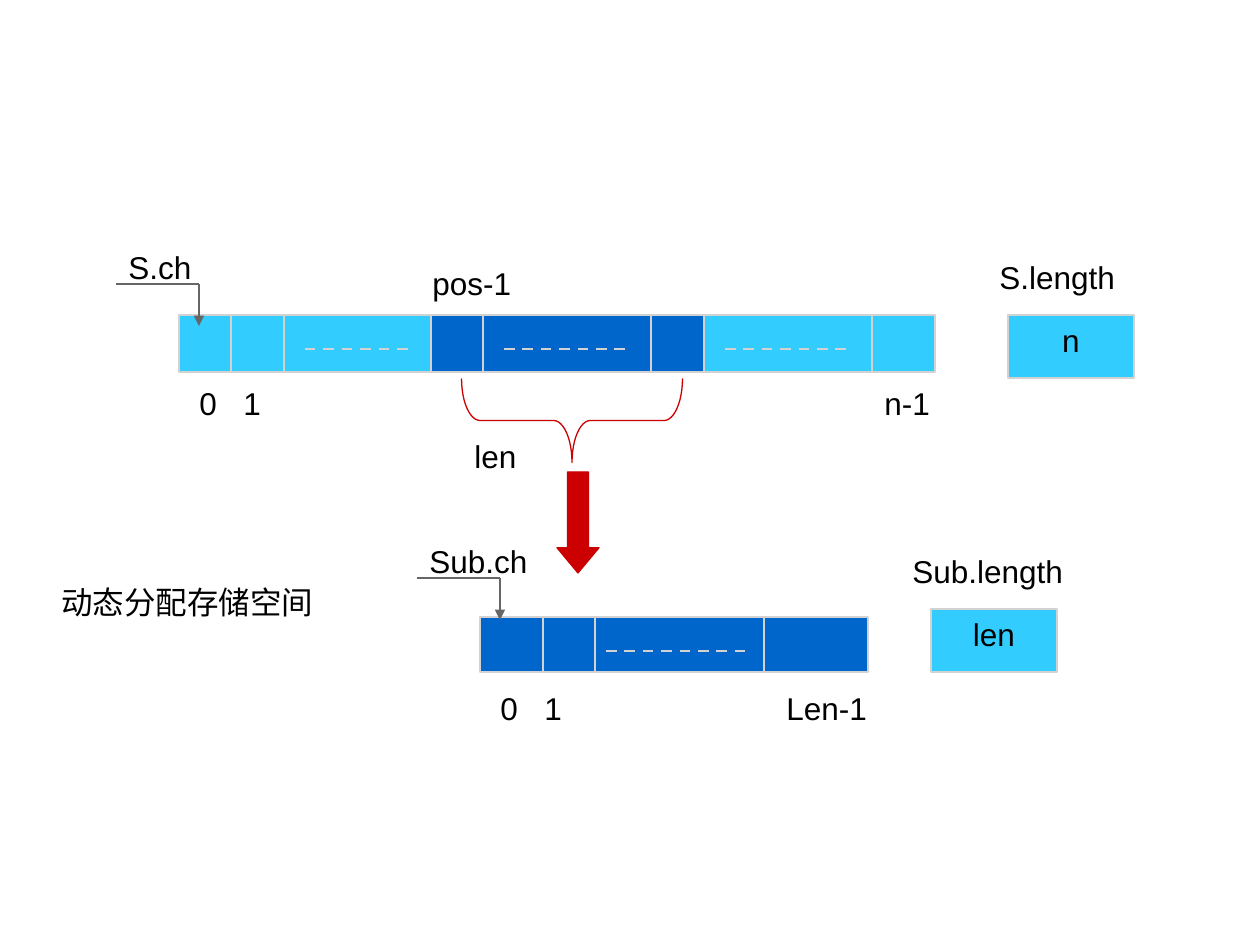
from lxml import etree
from pptx import Presentation
from pptx.dml.color import RGBColor
from pptx.enum.dml import MSO_LINE
from pptx.enum.shapes import MSO_CONNECTOR, MSO_SHAPE
from pptx.enum.text import MSO_ANCHOR, PP_ALIGN
from pptx.oxml.ns import qn
from pptx.util import Emu, Pt

STRAIGHT = MSO_CONNECTOR.STRAIGHT
RECTANGLE = MSO_SHAPE.RECTANGLE
RIGHT_BRACE = MSO_SHAPE.RIGHT_BRACE
DOWN_ARROW = MSO_SHAPE.DOWN_ARROW
DASH = MSO_LINE.DASH
TOP = MSO_ANCHOR.TOP
CENTER = PP_ALIGN.CENTER

LIGHT_BLUE = RGBColor(0x33, 0xCC, 0xFF)
DARK_BLUE = RGBColor(0x00, 0x66, 0xCC)
RED = RGBColor(0xCC, 0x00, 0x00)
PALE_GRAY = RGBColor(0xD2, 0xD2, 0xD2)
DARK_GRAY = RGBColor(0x66, 0x66, 0x66)
BLACK = RGBColor(0x00, 0x00, 0x00)

PX_PER_INCH = 126
FONT = "Arial"
LABEL_HEIGHT = 50
INDEX_STEP = 44


def px(length):
    return Emu(round(length * 914400 / PX_PER_INCH))


def write(frame, text):
    frame.text = text
    font = frame.paragraphs[0].font
    font.name, font.size = FONT, Pt(18)
    font.color.rgb = BLACK


def add_label(slide, text, left, top, width):
    box = slide.shapes.add_textbox(px(left), px(top), px(width), px(LABEL_HEIGHT))
    box.text_frame.word_wrap = True
    write(box.text_frame, text)


def add_outline(slide, kind, left, top, width, height, fill, line):
    shape = slide.shapes.add_shape(kind, px(left), px(top), px(width), px(height))
    shape.shadow.inherit = False
    if fill is None:
        shape.fill.background()
    else:
        shape.fill.solid()
        shape.fill.fore_color.rgb = fill
    shape.line.color.rgb = line
    shape.line.width = Pt(0.75)
    return shape


def add_line(slide, x1, y1, x2, y2, color=PALE_GRAY, width=0.75):
    line = slide.shapes.add_connector(STRAIGHT, px(x1), px(y1), px(x2), px(y2))
    line.line.color.rgb = color
    line.line.width = Pt(width)
    etree.SubElement(line._element.spPr, qn("a:effectLst"))
    return line


def add_segment(slide, left, top, width, height, fill, dividers, dash_span):
    """A run of array cells, with dashes standing for the omitted ones."""
    add_outline(slide, RECTANGLE, left, top, width, height, fill, PALE_GRAY)
    for x in dividers:
        add_line(slide, x, top, x, top + height)
    dash_y = top + 34
    dash_start, dash_end = dash_span
    dashes = add_line(slide, dash_start, dash_y, dash_end, dash_y, width=1.5)
    dashes.line.dash_style = DASH


def add_pointer(slide, name, left, top):
    """A named, bent arrow pointing at the first cell."""
    bend = left + 83
    add_line(slide, left, top, bend, top, DARK_GRAY)
    arrow = add_line(slide, bend, top, bend, top + 42, DARK_GRAY)
    etree.SubElement(arrow.line._get_or_add_ln(), qn("a:tailEnd"), type="triangle")
    add_label(slide, name, left, top - 42, 126)


def add_indices(slide, left, top):
    for index in range(2):
        add_label(slide, str(index), left + index * INDEX_STEP, top, INDEX_STEP)


def add_length_field(slide, name, value, left, top, name_left, name_width):
    add_label(slide, name, name_left, top - 63, name_width)
    field = add_outline(slide, RECTANGLE, left, top, 126, 63, LIGHT_BLUE, PALE_GRAY)
    field.text_frame.vertical_anchor = TOP
    write(field.text_frame, value)
    field.text_frame.paragraphs[0].alignment = CENTER


def add_extraction(slide):
    """The brace over the chosen cells and the arrow to the substring."""
    brace = add_outline(slide, RIGHT_BRACE, 530, 310, 84, 221, None, RED)
    brace.rotation = 90
    brace.adjustments[0] = 0.22
    add_label(slide, "len", 462, 431, 84)
    arrow = add_outline(slide, DOWN_ARROW, 557, 472, 42, 101, RED, RED)
    arrow.adjustments[0], arrow.adjustments[1] = 0.5, 0.6


def main():
    prs = Presentation()
    prs.slide_width, prs.slide_height = px(1260), px(945)
    slide = prs.slides.add_slide(prs.slide_layouts[6])

    # Source string S
    source_segments = [
        (179, 252, LIGHT_BLUE, (231, 284), (305, 410)),
        (431, 273, DARK_BLUE, (483, 651), (504, 630)),
        (704, 231, LIGHT_BLUE, (872,), (725, 851)),
    ]
    for left, width, fill, dividers, dash_span in source_segments:
        add_segment(slide, left, 315, width, 57, fill, dividers, dash_span)
    add_pointer(slide, "S.ch", 116, 284)
    add_indices(slide, 187, 378)
    add_label(slide, "pos-1", 420, 258, 105)
    add_label(slide, "n-1", 872, 378, 84)
    add_length_field(slide, "S.length", "n", 1008, 315, 987, 158)

    # Selected part
    add_extraction(slide)

    # Substring Sub
    add_segment(slide, 480, 617, 388, 55, DARK_BLUE, (543, 595, 764), (606, 752))
    add_pointer(slide, "Sub.ch", 417, 578)
    add_indices(slide, 488, 683)
    add_label(slide, "Len-1", 774, 683, 126)
    add_length_field(slide, "Sub.length", "len", 931, 609, 900, 189)
    add_label(slide, "动态分配存储空间", 49, 577, 388)

    prs.save("out.pptx")


if __name__ == "__main__":
    main()
